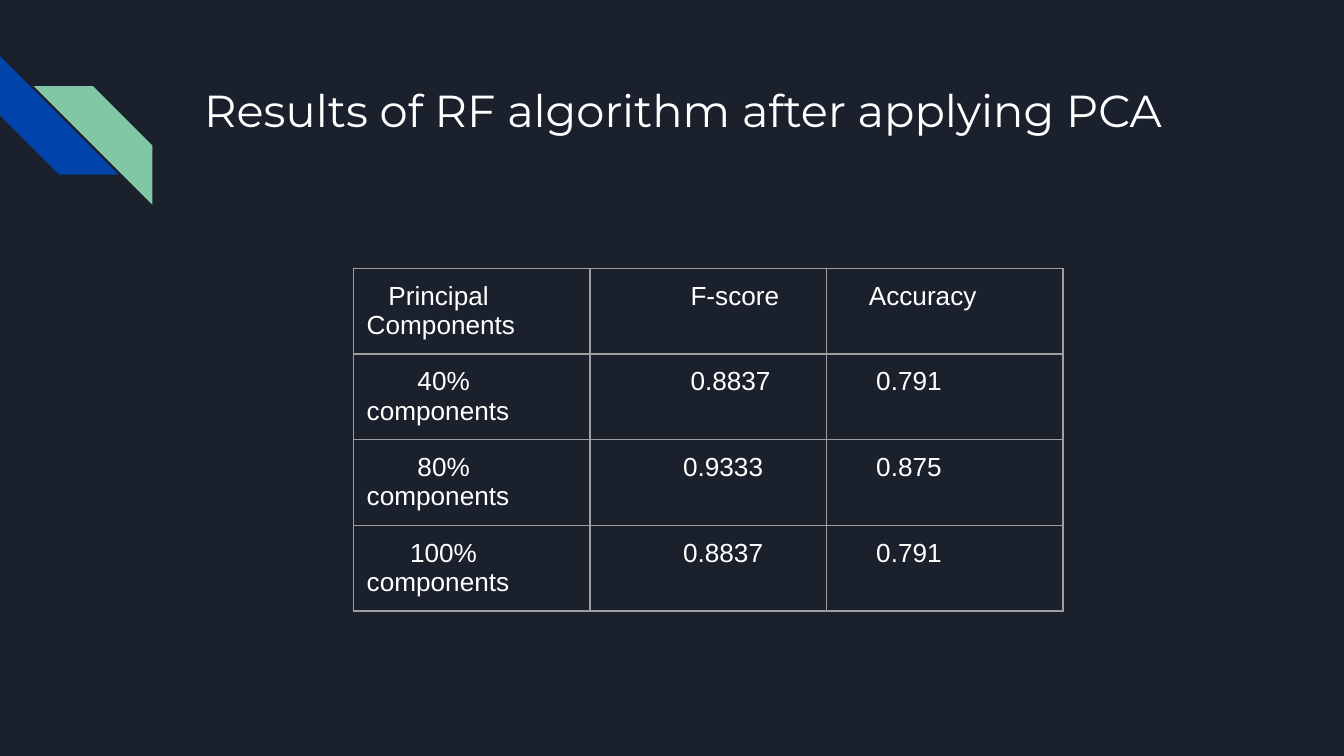
import lxml.etree
import pptx
import pptx.dml.color
import pptx.enum.shapes
import pptx.enum.text
import pptx.oxml.ns
import pptx.util
from pptx.util import Cm

NAVY = pptx.dml.color.RGBColor(0x1B, 0x21, 0x2C)
BLUE = pptx.dml.color.RGBColor(0x01, 0x45, 0xAC)
GREEN = pptx.dml.color.RGBColor(0x82, 0xC7, 0xA5)
WHITE = pptx.dml.color.RGBColor(0xFF, 0xFF, 0xFF)
GREY = pptx.dml.color.RGBColor(0x9E, 0x9E, 0x9E)
INSET = Cm(0.25)


def write(tf, text, size=14, font="Arial", color=WHITE, indent=0):
    p = tf.paragraphs[0]
    p.alignment = pptx.enum.text.PP_ALIGN.LEFT
    p._p.get_or_add_pPr().set("indent", str(Cm(indent)))
    r = p.add_run()
    r.text = text
    r.font.size = pptx.util.Pt(size)
    r.font.name = font
    r.font.color.rgb = color


def add_borders(cell, color, width):
    tcPr = cell._tc.get_or_add_tcPr()
    qn = pptx.oxml.ns.qn
    for side in ("a:lnL", "a:lnR", "a:lnT", "a:lnB"):
        ln = lxml.etree.SubElement(tcPr, qn(side), w=str(pptx.util.Pt(width)))
        fill = lxml.etree.SubElement(ln, qn("a:solidFill"))
        lxml.etree.SubElement(fill, qn("a:srgbClr"), val=str(color))


prs = pptx.Presentation()
prs.slide_width = Cm(25.4)
prs.slide_height = Cm(14.29)
s = prs.slides.add_slide(prs.slide_layouts[5])
s.background.fill.solid()
s.background.fill.fore_color.rgb = NAVY

for left, top, rotation, color in ((0, 1.06, 270, BLUE), (0.64, 1.63, 90, GREEN)):
    sp = s.shapes.add_shape(
        pptx.enum.shapes.MSO_SHAPE.DIAGONAL_STRIPE,
        Cm(left), Cm(top), Cm(2.24), Cm(2.24))
    sp.rotation = rotation
    sp.shadow.inherit = False
    sp.fill.solid()
    sp.fill.fore_color.rgb = color
    sp.line.fill.background()

title = s.shapes.title
title.left, title.top, title.width, title.height = Cm(3.61), Cm(1.32), Cm(19.56), Cm(1.45)
tf = title.text_frame
tf.word_wrap = True
tf.auto_size = pptx.enum.text.MSO_AUTO_SIZE.NONE
tf.vertical_anchor = pptx.enum.text.MSO_ANCHOR.TOP
tf.margin_left = tf.margin_right = tf.margin_top = tf.margin_bottom = INSET
write(tf, "Results of RF algorithm after applying PCA", size=24, font="Montserrat")

rows = [
    [("Principal Components", 0.41), ("F-score", 1.65), ("Accuracy", 0.55)],
    [("40% components", 0.96), ("0.8837", 1.65), ("0.791", 0.69)],
    [("80% components", 0.96), ("0.9333", 1.51), ("0.875", 0.69)],
    [("100% components", 0.82), ("0.8837", 1.51), ("0.791", 0.69)],
]
table = s.shapes.add_table(
    len(rows), 3, Cm(6.68), Cm(5.07), Cm(3 * 4.47), Cm(len(rows) * 1.62)).table
table.first_row = False
table.horz_banding = False
for i, row in enumerate(rows):
    for j, (text, indent) in enumerate(row):
        cell = table.cell(i, j)
        cell.margin_left = cell.margin_right = INSET
        cell.margin_top = cell.margin_bottom = INSET
        add_borders(cell, GREY, 0.75)
        cell.fill.background()
        write(cell.text_frame, text, indent=indent)

prs.save("out.pptx")
